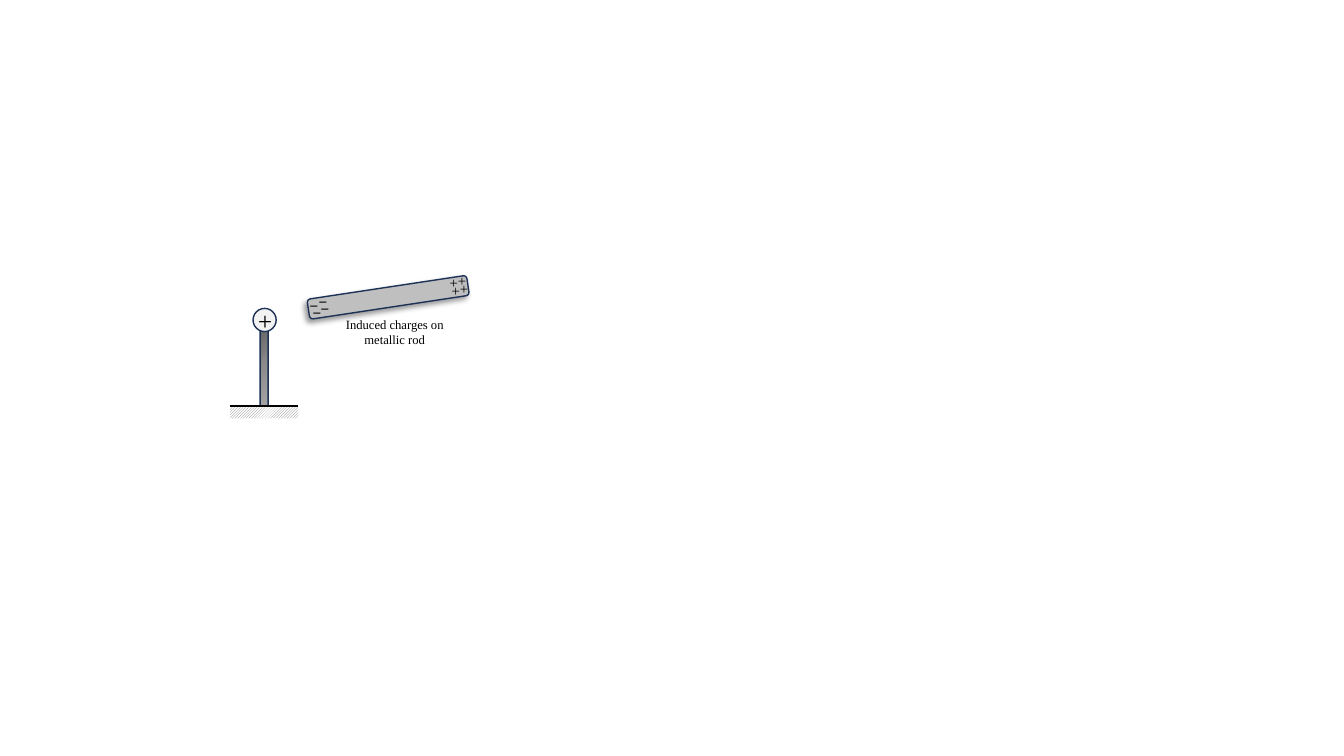
from lxml import etree
from pptx import Presentation
from pptx import util as u
from pptx.dml.color import RGBColor
from pptx.enum import dml, shapes, text
from pptx.oxml import parse_xml
from pptx.oxml.ns import nsdecls, qn

PX = 9144  # 100 px to the inch
COLORS = {
    "outline": "1E3256", "rod": "BFBFBF", "ball": "F2F2F2", "ink": "000000",
    "hatch": "808080", "paper": "FFFFFF",
    "post_dark": "626262", "post_mid": "8C8C8C", "post_light": "A6A6A6",
}


def add_part(parent, kind, place, fill=None, outlined=True):
    part = parent.add_shape(kind, *[n * PX for n in place])
    part.shadow.inherit = False
    if fill:
        part.fill.solid()
        part.fill.fore_color.rgb = RGBColor.from_string(COLORS[fill])
    if outlined:
        part.line.color.rgb = RGBColor.from_string(COLORS["outline"])
        part.line.width = u.Pt(1)
    else:
        part.line.fill.background()
    return part


def write(box, words, size, font="Times New Roman", italic=None,
          align=text.PP_ALIGN.CENTER, grow=True):
    frame = box.text_frame
    layout = {"margin_left": 0, "margin_top": 0, "margin_right": 0,
              "margin_bottom": 0, "word_wrap": True}
    if grow:
        layout["auto_size"] = text.MSO_AUTO_SIZE.SHAPE_TO_FIT_TEXT
    for name, value in layout.items():
        setattr(frame, name, value)
    para = frame.paragraphs[0]
    para.alignment = align
    span = para.add_run()
    span.text = words
    for name, value in {"size": u.Pt(size), "name": font, "italic": italic}.items():
        setattr(span.font, name, value)
    span.font.color.rgb = RGBColor.from_string(COLORS["ink"])


deck = Presentation()
deck.slide_width, deck.slide_height = 1333 * PX, 750 * PX
page = deck.slides.add_slide(deck.slide_layouts[6])

# Tilted metallic rod with a soft shadow
rod = add_part(page.shapes, shapes.MSO_SHAPE.ROUNDED_RECTANGLE,
               (375, 215, 20, 160), "rod")
rod.rotation = 81.4
rod_effects = rod._element.spPr.find(qn("a:effectLst"))
rod_effects.append(parse_xml(
    f'<a:outerShdw {nsdecls("a")} blurRad="{u.Pt(4)}" dist="{u.Pt(3)}" '
    f'dir="{135 * 60000}" algn="ctr" rotWithShape="0"><a:srgbClr val="{COLORS["ink"]}">'
    '<a:alpha val="40000"/></a:srgbClr></a:outerShdw>'))

# Insulating post, shaded from its top left corner
post = add_part(page.shapes, shapes.MSO_SHAPE.ROUNDED_RECTANGLE, (258, 323, 8, 80))
stops = "".join(
    f'<a:gs pos="{step * 50000}"><a:srgbClr val="{COLORS[name]}"/></a:gs>'
    for step, name in enumerate(("post_dark", "post_mid", "post_light")))
post._element.spPr.find(qn("a:prstGeom")).addnext(parse_xml(
    f'<a:gradFill {nsdecls("a")} rotWithShape="1"><a:gsLst>{stops}</a:gsLst>'
    '<a:path path="circle"><a:fillToRect r="100000" b="100000"/></a:path></a:gradFill>'))

# Charged ball
ball = add_part(page.shapes, shapes.MSO_SHAPE.OVAL, (251, 306, 23, 23), "ball")
ball.text_frame.vertical_anchor = text.MSO_ANCHOR.MIDDLE
write(ball, "+", 18, italic=True, grow=False)

# Ground
ground = page.shapes.add_group_shape()
surface = ground.shapes.add_connector(
    shapes.MSO_CONNECTOR.STRAIGHT, 228 * PX, 403 * PX, 296 * PX, 403 * PX)
surface.line.color.rgb = RGBColor.from_string(COLORS["ink"])
surface.line.width = u.Pt(2.25)
etree.SubElement(surface._element.spPr, qn("a:effectLst"))
hatch = add_part(ground.shapes, shapes.MSO_SHAPE.RECTANGLE,
                 (228, 404, 68, 11), outlined=False)
hatch.fill.patterned()
hatch.fill.pattern = dml.MSO_PATTERN.DARK_UPWARD_DIAGONAL
hatch.fill.fore_color.rgb = RGBColor.from_string(COLORS["hatch"])
hatch.fill.back_color.rgb = RGBColor.from_string(COLORS["paper"])

# Induced charges at both ends of the rod
charges = [
    ("+", "Times New Roman", [(454, 270), (456, 278), (446, 272), (448, 280)]),
    ("−", "Arial", [(310, 301), (307, 294), (318, 297), (316, 290)]),
]
for sign, font, spots in charges:
    for left, top in spots:
        box = page.shapes.add_textbox(left * PX, top * PX, 15 * PX, 18 * PX)
        write(box, sign, 10.5, font, align=text.PP_ALIGN.LEFT)

# Caption
caption = page.shapes.add_textbox(340 * PX, 314 * PX, 103 * PX, 30 * PX)
write(caption, "Induced charges on metallic rod", 9)

deck.save("out.pptx")
